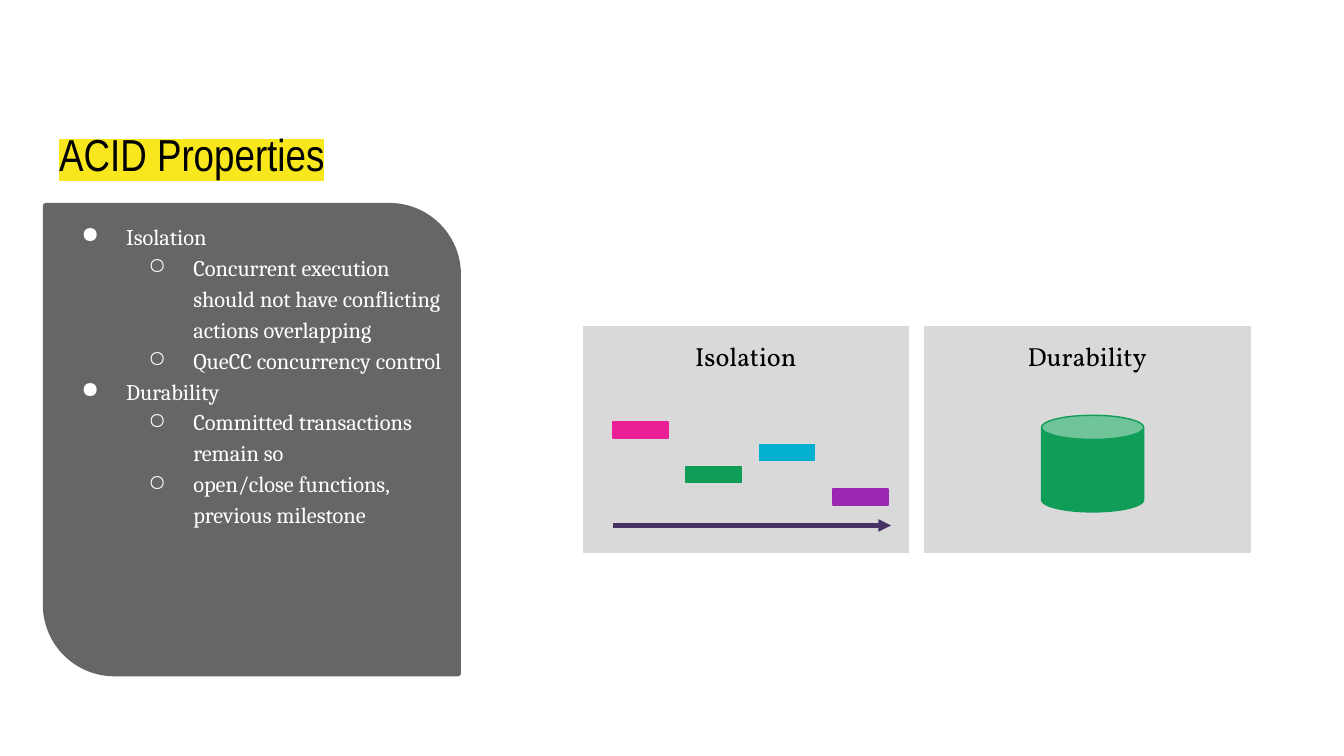
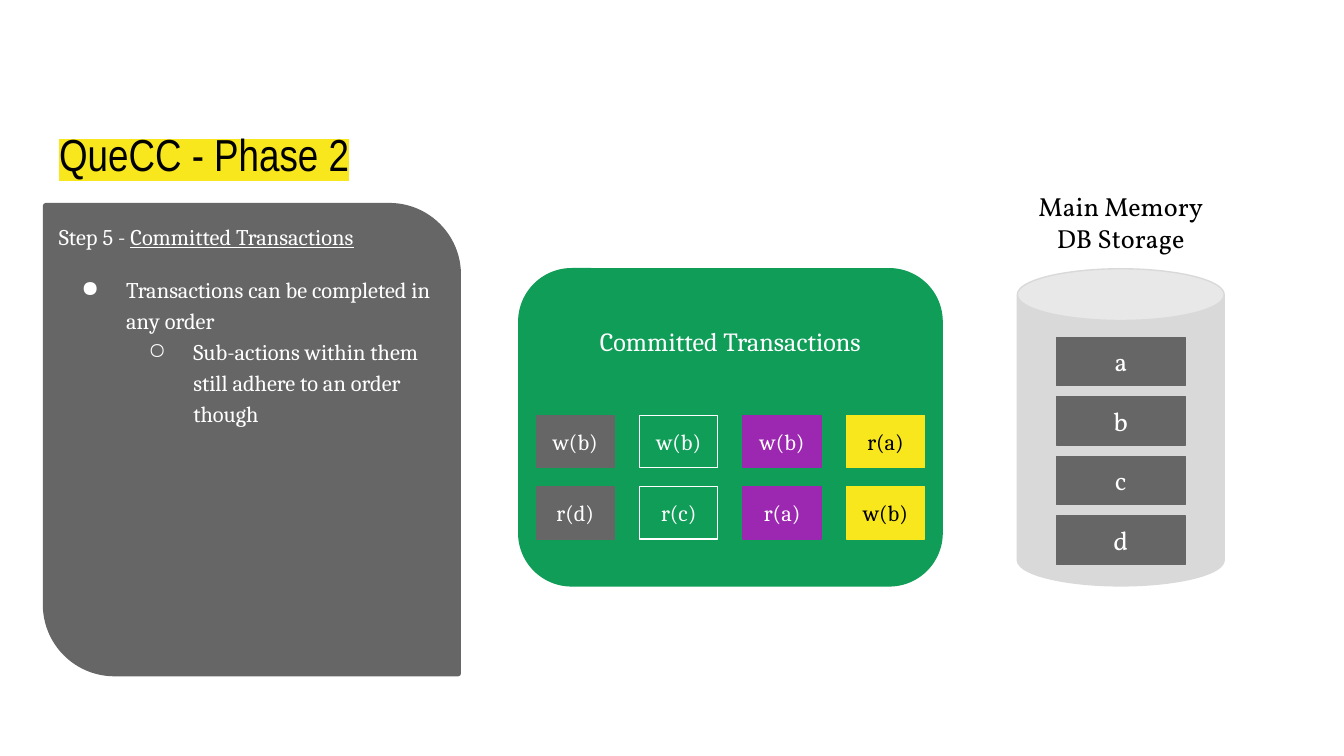
from typing import NamedTuple

from lxml.etree import SubElement
from pptx import Presentation
from pptx.dml.color import RGBColor
from pptx.enum.shapes import MSO_CONNECTOR, MSO_SHAPE
from pptx.enum.text import MSO_ANCHOR, MSO_AUTO_SIZE, PP_ALIGN
from pptx.oxml.ns import qn
from pptx.util import Pt

COLORS = {
    "black": "000000",
    "white": "FFFFFF",
    "yellow": "F8E71C",
    "dark_gray": "666666",
    "light_gray": "D9D9D9",
    "green": "0F9D58",
    "pink": "EB1E95",
    "blue": "01AFD1",
    "purple": "9C27B0",
    "indigo": "483165",
}
TITLE_FONT, BODY_FONT, LABEL_FONT = "Arial Narrow", "Cambria", "Vollkorn"
INSET = 7.2
LABEL_HEIGHT = 31.7
BULLETS = "●○"


class Box(NamedTuple):
    left: float
    top: float
    width: float
    height: float

    def inner(self, left, top, width, height):
        """Return a box placed relative to this one."""
        return Box(self.left + left, self.top + top, width, height)

    def lengths(self):
        return [Pt(value) for value in self]


TITLE_BOX = Box(24.5, 43.9, 221, 59.8)
PANEL_BOX = Box(24.5, 110.2, 221, 250.6)


def rgb(color):
    return RGBColor.from_string(COLORS[color])


def add_run(paragraph, text, size, font, color, underline=None, highlight=None):
    run = paragraph.add_run()
    run.text = text
    run.font.size = Pt(size)
    run.font.underline = underline
    run.font.color.rgb = rgb(color)
    if highlight:
        mark = SubElement(run.font._element, qn("a:highlight"))
        SubElement(mark, qn("a:srgbClr")).set("val", COLORS[highlight])
    run.font.name = font


def set_frame(frame, anchor=MSO_ANCHOR.TOP, auto_size=MSO_AUTO_SIZE.NONE):
    frame.word_wrap = True
    frame.auto_size = auto_size
    frame.vertical_anchor = anchor
    frame.margin_left = frame.margin_right = Pt(INSET)
    frame.margin_top = frame.margin_bottom = Pt(INSET)


def add_block(slide, kind, box, fill, line=None, line_width=0.75):
    shape = slide.shapes.add_shape(kind, *box.lengths())
    shape.shadow.inherit = False
    shape.fill.solid()
    shape.fill.fore_color.rgb = rgb(fill)
    shape.line.color.rgb = rgb(line or fill)
    shape.line.width = Pt(line_width)
    return shape


def add_text_block(slide, box, text, size, font, fill, line=None, color="white"):
    shape = add_block(slide, MSO_SHAPE.RECTANGLE, box, fill, line)
    set_frame(shape.text_frame, MSO_ANCHOR.MIDDLE)
    paragraph = shape.text_frame.paragraphs[0]
    paragraph.alignment = PP_ALIGN.CENTER
    add_run(paragraph, text, size, font, color)


def add_label(slide, box, lines, font=LABEL_FONT, color="black"):
    frame = slide.shapes.add_textbox(*box.lengths()).text_frame
    set_frame(frame, auto_size=MSO_AUTO_SIZE.SHAPE_TO_FIT_TEXT)
    for index, text in enumerate(lines):
        paragraph = frame.add_paragraph() if index else frame.paragraphs[0]
        paragraph.alignment = PP_ALIGN.CENTER
        add_run(paragraph, text, 14, font, color)


def add_bullet(paragraph, level):
    paragraph.level = level
    properties = paragraph._p.get_or_add_pPr()
    properties.set("marL", str(Pt(36 * (level + 1))))
    properties.set("indent", str(Pt(-24)))
    bullet_color = SubElement(properties, qn("a:buClr"))
    SubElement(bullet_color, qn("a:srgbClr")).set("val", COLORS["white"])
    SubElement(properties, qn("a:buChar")).set("char", BULLETS[level])


def add_panel(slide, box, bullets, heading=None):
    """Draw the side panel; heading is a (plain, underlined) pair."""
    panel = add_block(slide, MSO_SHAPE.ROUND_2_DIAG_RECTANGLE, box, "dark_gray", line_width=3)
    panel.adjustments[0] = 0
    panel.adjustments[1] = 0.167

    frame = slide.shapes.add_textbox(*box.lengths()).text_frame
    set_frame(frame)
    paragraph = frame.paragraphs[0]
    if heading:
        paragraph.line_spacing = 1.15
        for text, underline in zip(heading, (None, True)):
            add_run(paragraph, text, 12, BODY_FONT, "white", underline)
    for index, (level, text) in enumerate(bullets):
        if index or heading:
            paragraph = frame.add_paragraph()
        paragraph.line_spacing = 1.15
        if heading and index == 0:
            paragraph.space_before = Pt(12)
        add_bullet(paragraph, level)
        add_run(paragraph, text, 12, BODY_FONT, "white")


def add_titled_slide(presentation, title):
    slide = presentation.slides.add_slide(presentation.slide_layouts[5])
    shape = slide.shapes.title
    shape.left, shape.top, shape.width, shape.height = TITLE_BOX.lengths()
    set_frame(shape.text_frame, MSO_ANCHOR.BOTTOM)
    paragraph = shape.text_frame.paragraphs[0]
    paragraph.alignment = PP_ALIGN.LEFT
    add_run(paragraph, title, 24, TITLE_FONT, "black", highlight="yellow")
    return slide


def add_card(slide, box, label):
    add_block(slide, MSO_SHAPE.RECTANGLE, box, "light_gray")
    add_label(slide, box.inner(0, 0, box.width, LABEL_HEIGHT), [label])


def add_isolation_card(slide, box):
    add_card(slide, box, "Isolation")
    bars = [("pink", 0), ("green", 2), ("blue", 1), ("purple", 3)]
    for column, (color, row) in enumerate(bars):
        bar = box.inner(15.8 + 39.3 * column, 51 + 12 * row, 29.5, 8.6)
        add_block(slide, MSO_SHAPE.RECTANGLE, bar, color)

    axis = box.inner(15.8, 106.5, 149, 0)
    arrow = slide.shapes.add_connector(
        MSO_CONNECTOR.STRAIGHT,
        Pt(axis.left), Pt(axis.top), Pt(axis.left + axis.width), Pt(axis.top),
    )
    arrow.line.color.rgb = rgb("indigo")
    arrow.line.width = Pt(2.25)
    SubElement(arrow.line._get_or_add_ln(), qn("a:tailEnd")).set("type", "triangle")
    SubElement(arrow._element.spPr, qn("a:effectLst"))


def add_durability_card(slide, box):
    add_card(slide, box, "Durability")
    add_block(slide, MSO_SHAPE.CAN, box.inner(62.6, 47.5, 54.7, 51.8), "green")


def add_committed_transactions(slide, box):
    add_block(slide, MSO_SHAPE.ROUNDED_RECTANGLE, box, "green").adjustments[0] = 0.167
    transactions = [
        ("dark_gray", "dark_gray", "white", ("w(b)", "r(d)")),
        ("green", "white", "white", ("w(b)", "r(c)")),
        ("purple", "purple", "white", ("w(b)", "r(a)")),
        ("yellow", "yellow", "black", ("r(a)", "w(b)")),
    ]
    for column, (fill, line, color, actions) in enumerate(transactions):
        for row, action in enumerate(actions):
            cell = box.inner(9.4 + 55.4 * column, 78.5 + 38.2 * row, 41.8, 28.1)
            add_text_block(slide, cell, action, 12, BODY_FONT, fill, line, color)
    caption = box.inner(0, 23, box.width, LABEL_HEIGHT)
    add_label(slide, caption, ["Committed Transactions"], BODY_FONT, "white")


def add_storage(slide, box):
    add_block(slide, MSO_SHAPE.CAN, box, "light_gray")
    for row, record in enumerate("abcd"):
        slot = box.inner(20.9, 36.7 + 31.9 * row, 69.1, 25.9)
        add_text_block(slide, slot, record, 14, LABEL_FONT, "dark_gray")
    add_label(slide, box.inner(-62.7, -49, 236.2, 48.2), ["Main Memory", "DB Storage"])


def build_acid_slide(presentation):
    slide = add_titled_slide(presentation, "ACID Properties")
    add_panel(slide, PANEL_BOX, [
        (0, "Isolation"),
        (1, "Concurrent execution should not have conflicting actions overlapping"),
        (1, "QueCC concurrency control"),
        (0, "Durability"),
        (1, "Committed transactions remain so"),
        (1, "open/close functions, previous milestone"),
    ])
    card = Box(312.5, 175, 174.2, 121)
    add_isolation_card(slide, card)
    add_durability_card(slide, card.inner(182.9, 0, card.width, card.height))


def build_phase_slide(presentation):
    slide = add_titled_slide(presentation, "QueCC - Phase 2")
    add_panel(slide, PANEL_BOX, [
        (0, "Transactions can be completed in any order"),
        (1, "Sub-actions within them still adhere to an order though"),
    ], heading=("Step 5 - ", "Committed Transactions"))
    add_committed_transactions(slide, Box(277.9, 144, 226.8, 169.9))
    add_storage(slide, Box(545, 144, 110.9, 169.9))


def main():
    presentation = Presentation()
    presentation.slide_width = Pt(720)
    presentation.slide_height = Pt(405)
    build_acid_slide(presentation)
    build_phase_slide(presentation)
    presentation.save("out.pptx")


if __name__ == "__main__":
    main()
